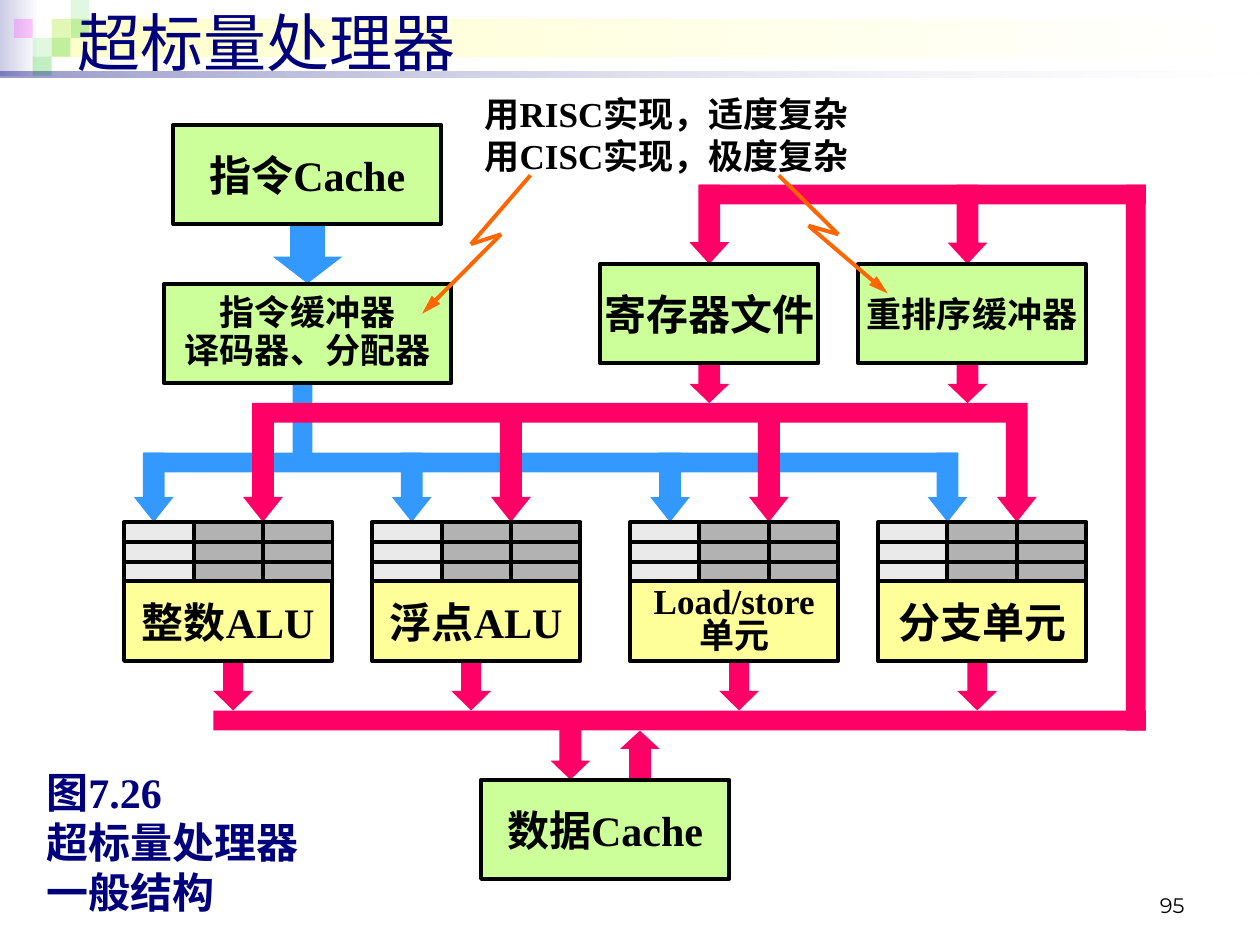
import pptx
import pptx.util
import pptx.dml.color
import pptx.enum.shapes
import pptx.enum.text
import lxml.etree

Pt = pptx.util.Pt
RGB = pptx.dml.color.RGBColor
SHAPE = pptx.enum.shapes.MSO_SHAPE
ALIGN = pptx.enum.text.PP_ALIGN
ANCHOR = pptx.enum.text.MSO_ANCHOR
FIT = pptx.enum.text.MSO_AUTO_SIZE.SHAPE_TO_FIT_TEXT
A = "{http://schemas.openxmlformats.org/drawingml/2006/main}"

BLACK = RGB(0x00, 0x00, 0x00)
WHITE = RGB(0xFF, 0xFF, 0xFF)
NAVY = RGB(0x00, 0x00, 0x7D)
LAVENDER = RGB(0xCC, 0xCC, 0xE6)
CREAM = RGB(0xFF, 0xFF, 0xCC)
GREEN = RGB(0x33, 0xCC, 0x33)
MAGENTA = RGB(0xFF, 0x00, 0xFF)
BLUE = RGB(0x33, 0x99, 0xFF)
RED = RGB(0xFF, 0x00, 0x66)
LIME = RGB(0xCC, 0xFF, 0x99)
YELLOW = RGB(0xFF, 0xFF, 0x99)
LIGHT = RGB(0xEA, 0xEA, 0xEA)
GRAY = RGB(0xB2, 0xB2, 0xB2)
ORANGE = RGB(0xFF, 0x66, 0x00)

BAR = 11.34
ARROW_W = 22.7
CELL_W = 39.7
UNIT_TOP = 298.3
UNIT_BODY_H = 45.35
BLUE_BUS_Y = 258.6
RED_BUS_Y = 230.3
RETURN_TOP = 105.5
RETURN_BOTTOM = 406.1
RETURN_X = 643.4
BOX_H = 56.7
TILE = 10.8

GRADIENT_BARS = [
    ((0, 0, 22.3, 43.2), (LAVENDER, 100), (WHITE, 100)),
    ((29.5, 10.8, 687.6, 21.6), (CREAM, 100), (WHITE, 100)),
]
TITLE_RULE = ((0, 40.8, 720, 3.8), (NAVY, 40), (WHITE, 10))
TILES = [
    (2, 1, GREEN, 15), (3, 0, GREEN, 15), (3, 1, GREEN, 30), (1, 2, GREEN, 15),
    (0, 1, MAGENTA, 20), (2, 2, GREEN, 30), (1, 3, GREEN, 30),
]
UNITS = [
    (70.9, ["整数ALU"], 24, None, 76.5, 121.9),
    (212.6, ["浮点ALU"], 24, None, 223.9, 257.9),
    (360, ["Load/store", "单元"], 20, 0.8, 371.5, 411),
    (501.7, ["分支单元"], 24, None, 530.1, 547.1),
]
BOXES = [
    (99, 71.3, 153.1, ["指令Cache"], 24, None),
    (93.6, 162.2, 164.4, ["指令缓冲器", "译码器、分配器"], 20, 0.9),
    (342.9, 150.9, 124.7, ["寄存器文件"], 24, None),
    (490.3, 150.9, 130.4, ["重排序缓冲器"], 20, None),
    (274.9, 445.6, 141.7, ["数据Cache"], 24, None),
]
STORE_ARROWS = [(394, 0.55), (541.5, 0.54)]
ZIGZAGS = [
    [(303.1, 100.2), (269.1, 139.5), (286.3, 133.9), (241.2, 179.3)],
    [(445, 100.2), (479, 133.9), (462, 129), (507.3, 167.7)],
]

prs = pptx.Presentation()
prs.slide_width, prs.slide_height = Pt(720), Pt(540)
s = prs.slides.add_slide(prs.slide_layouts[6])


def write(sp, lines, size=24, color=BLACK, font="Times New Roman", bold=True,
          align=ALIGN.CENTER, anchor=ANCHOR.MIDDLE, wrap=False, spacing=None, fit=None):
    tf = sp.text_frame
    tf.word_wrap = wrap
    tf.vertical_anchor = anchor
    if fit is not None:
        tf.auto_size = fit
    for i, line in enumerate(lines):
        p = tf.paragraphs[0] if i == 0 else tf.add_paragraph()
        p.alignment = align
        if spacing:
            p.line_spacing = spacing
        r = p.add_run()
        r.text = line
        r.font.name, r.font.size, r.font.bold = font, Pt(size), bold
        r.font.color.rgb = color


def textbox(x, y, w, h, lines, **fmt):
    write(s.shapes.add_textbox(Pt(x), Pt(y), Pt(w), Pt(h)), lines, **fmt)


def shape(x, y, w, h, fill=None, kind=SHAPE.RECTANGLE, outlined=False, parent=s):
    sp = parent.shapes.add_shape(kind, Pt(x), Pt(y), Pt(w), Pt(h))
    sp.shadow.inherit = False
    if fill is not None:
        sp.fill.solid()
        sp.fill.fore_color.rgb = fill
    if outlined:
        sp.line.color.rgb = BLACK
        sp.line.width = Pt(2.25)
    else:
        sp.line.fill.background()
    return sp


def arrow(x, y, h, fill, shaft=0.55, head=0.63, w=ARROW_W):
    sp = shape(x, y, w, h, fill, SHAPE.DOWN_ARROW)
    sp.adjustments[0], sp.adjustments[1] = shaft, head
    return sp


def set_alpha(sp, percents):
    for clr, percent in zip(sp._element.spPr.iter(A + "srgbClr"), percents):
        if percent < 100:
            lxml.etree.SubElement(clr, A + "alpha", val=str(percent * 1000))


def gradient(box, start, end):
    sp = shape(*box)
    sp.fill.gradient()
    sp.fill.gradient_angle = 0
    for stop, (color, _) in zip(sp.fill.gradient_stops, (start, end)):
        stop.color.rgb = color
    set_alpha(sp, (start[1], end[1]))


def zigzag(points):
    g = s.shapes.add_group_shape()
    for a, b in zip(points, points[1:]):
        c = g.shapes.add_connector(pptx.enum.shapes.MSO_CONNECTOR.STRAIGHT,
                                   Pt(a[0]), Pt(a[1]), Pt(b[0]), Pt(b[1]))
        c.line.color.rgb = ORANGE
        c.line.width = Pt(2.25)
        if b == points[-1]:
            lxml.etree.SubElement(c.line._get_or_add_ln(), A + "tailEnd",
                                  type="triangle", len="lg")
        lxml.etree.SubElement(c._element.spPr, A + "effectLst")


for bar in GRADIENT_BARS:
    gradient(*bar)
for col, row, color, percent in TILES:
    set_alpha(shape(7.9 + col * TILE, row * TILE, TILE, TILE, color), [percent])
gradient(*TITLE_RULE)

textbox(516, 492, 168, 36, ["95"], size=12, font="Montserrat", bold=False,
        align=ALIGN.RIGHT, anchor=ANCHOR.BOTTOM, wrap=True)
textbox(37, -2, 674.6, 51.1, ["超标量处理器"], size=36, color=NAVY, font="Arial",
        bold=False, align=ALIGN.LEFT, wrap=True)

shape(167.2, 218.7, BAR, 51, BLUE)
arrow(155.9, 128, 34, BLUE, 0.5, 0.45, w=CELL_W)
for x, _, _, _, issue_x, _ in UNITS:
    arrow(issue_x, BLUE_BUS_Y, UNIT_TOP - BLUE_BUS_Y, BLUE)
shape(82.2, BLUE_BUS_Y, 465, BAR, BLUE)

for x, _, _, _, _, out_x in UNITS:
    arrow(x + 68, RED_BUS_Y, UNIT_TOP - RED_BUS_Y, RED)
    arrow(out_x, 378, 28, RED, 0.5, 0.49)
shape(144.6, RED_BUS_Y, 442.2, BAR, RED)
for x, head in STORE_ARROWS:
    arrow(x, RETURN_TOP, 45.4, RED, head=head)
    arrow(x, 207.6, 22.7, RED, head=0.48)
shape(121.9, RETURN_BOTTOM, 532.9, BAR, RED)
shape(RETURN_X, RETURN_TOP, BAR, RETURN_BOTTOM + BAR - RETURN_TOP, RED)
arrow(314.6, 411.8, 33.8, RED, head=0.48)
arrow(354.3, 417.5, 28.1, RED, head=0.46).rotation = 180
shape(399.7, RETURN_TOP, RETURN_X + BAR - 399.7, BAR, RED)

for x, y, w, lines, size, spacing in BOXES:
    write(shape(x, y, w, BOX_H, LIME, outlined=True), lines, size=size, spacing=spacing)

for x, lines, size, spacing, _, _ in UNITS:
    g = s.shapes.add_group_shape()
    for row in range(3):
        for col in range(3):
            shape(x + col * CELL_W, UNIT_TOP + row * BAR, CELL_W, BAR,
                  GRAY if col else LIGHT, outlined=True, parent=g)
    body = shape(x, UNIT_TOP + 3 * BAR, 3 * CELL_W, UNIT_BODY_H, YELLOW, outlined=True)
    write(body, lines, size=size, spacing=spacing)

for points in ZIGZAGS:
    zigzag(points)
textbox(261, 49, 240, 55.4, ["用RISC实现，适度复杂", "用CISC实现，极度复杂"],
        size=20, fit=FIT)
textbox(19.4, 434.2, 175.7, 93.6, ["图7.26", "超标量处理器", "一般结构"],
        color=NAVY, align=ALIGN.LEFT, wrap=True, fit=FIT)

prs.save("out.pptx")
